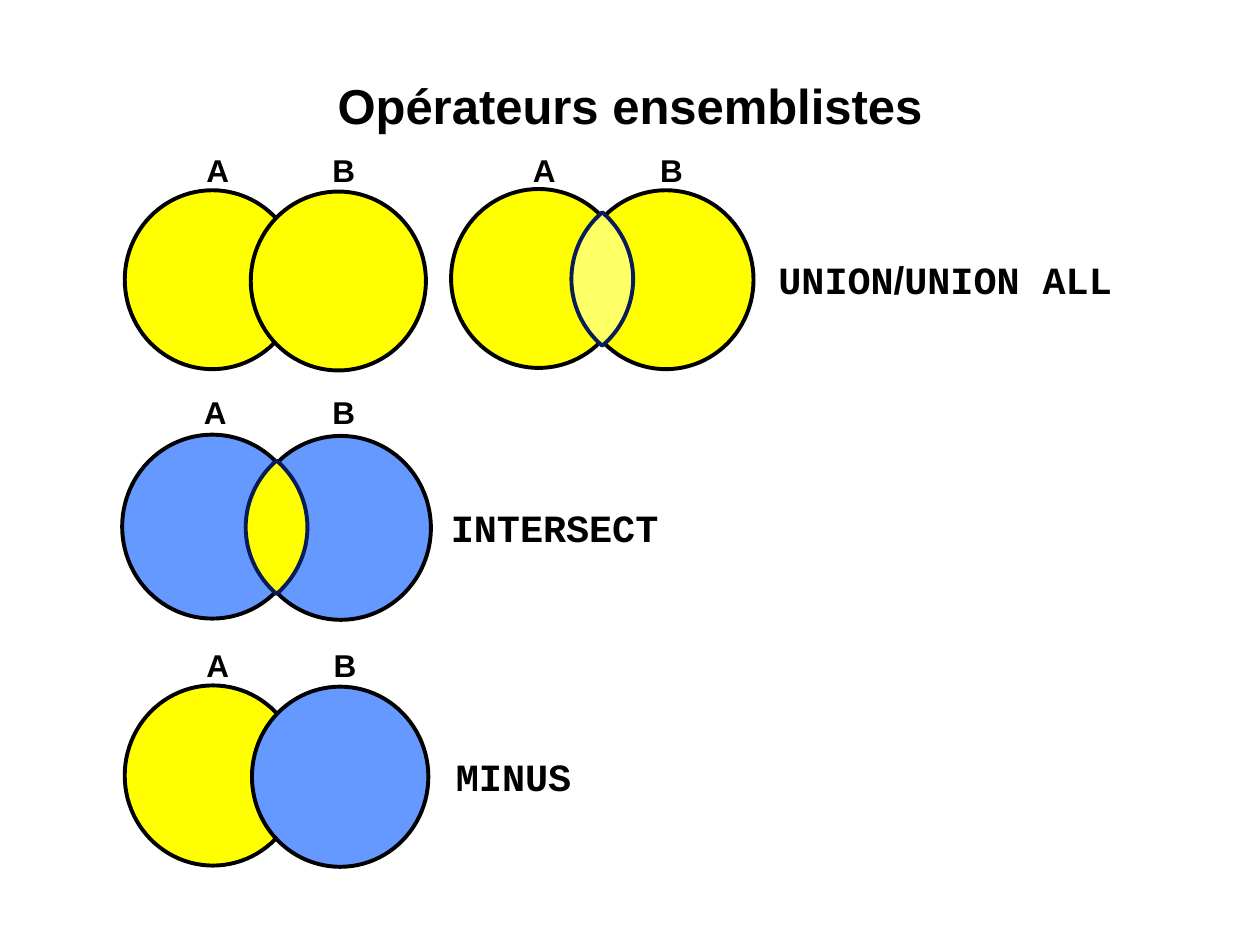
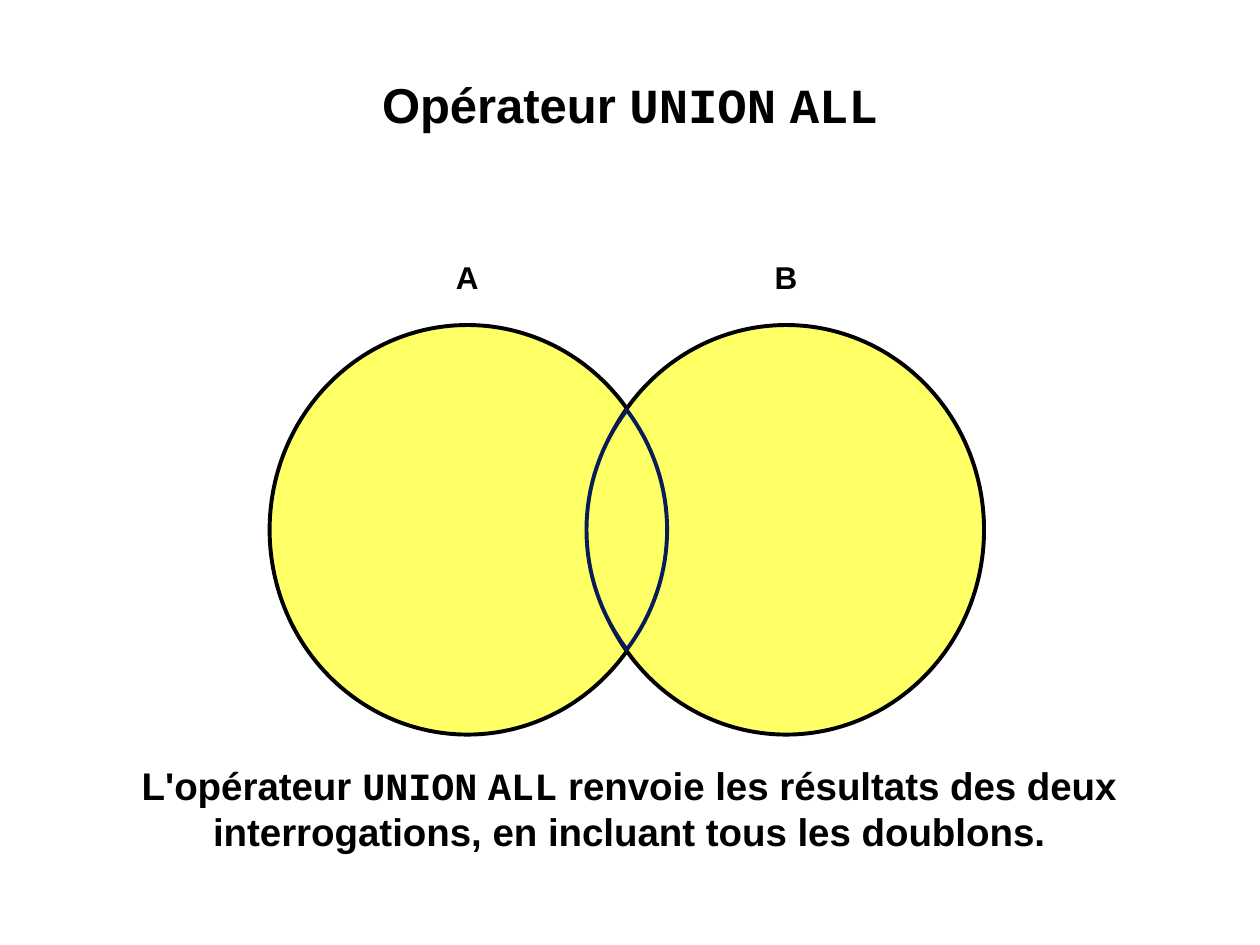
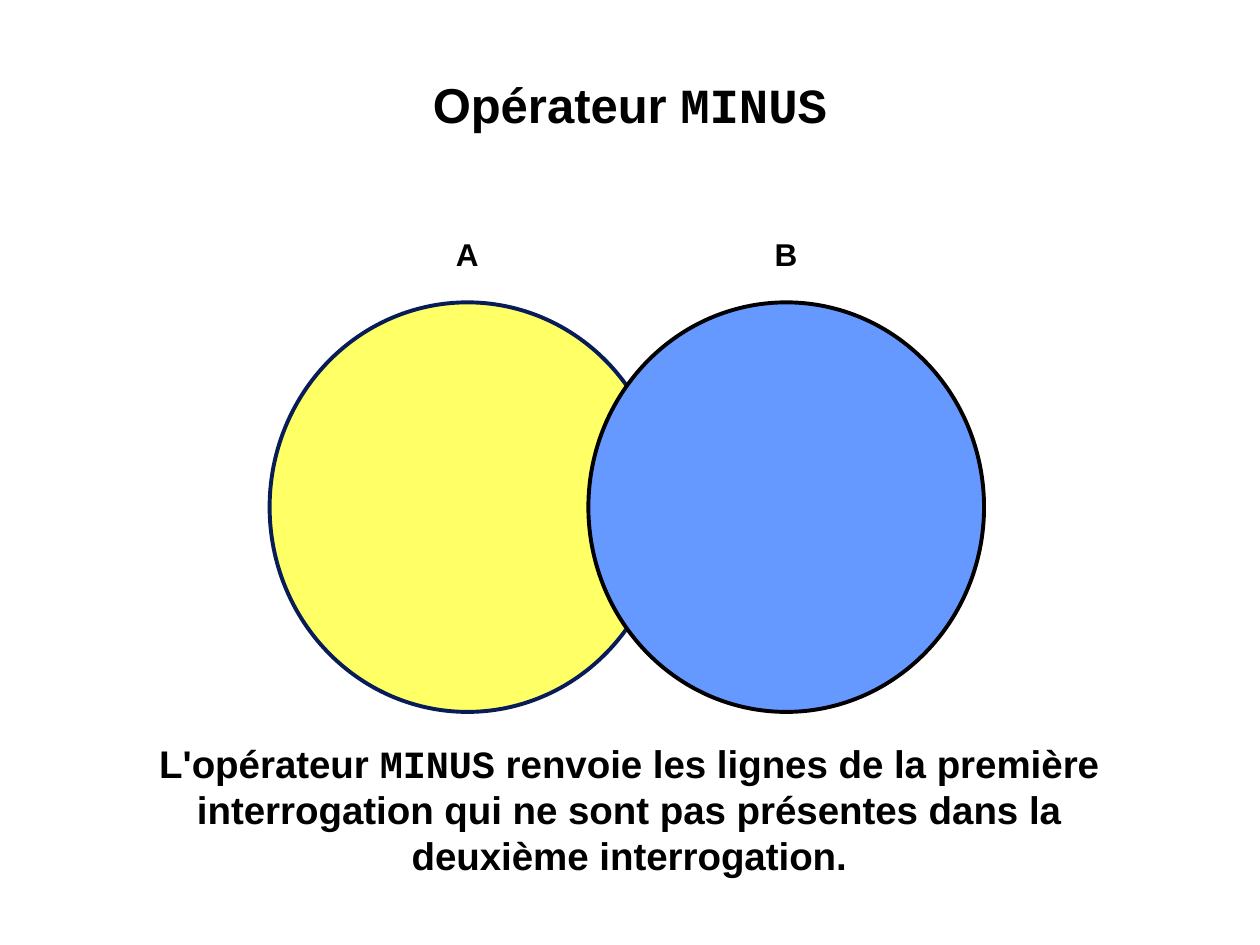
import math

import pptx
import pptx.dml.color
import pptx.enum.shapes
import pptx.enum.text
import pptx.util

# Shared look
COLOURS = {
    "text": "000000",
    "outline": "000000",
    "navy": "081D58",
    "yellow": "FFFF00",
    "pale": "FFFF66",
    "blue": "6699FF",
}
TEXT_FONT, CODE_FONT = "Arial", "Courier New"
TITLE_SIZE, BODY_SIZE, LABEL_SIZE = 28, 22, 18
OUTLINE_WIDTH = 2.25
ARC_STEPS = 32
ALIGN = pptx.enum.text.PP_ALIGN

# Grid: the slide has 100 columns and 75 rows
COLUMNS, ROWS = 100, 75
CELL = pptx.util.Inches(0.1)


def grid(*cells):
    """Turn columns or rows into slide lengths."""
    return [round(cell * CELL) for cell in cells]


def rgb(name):
    return pptx.dml.color.RGBColor.from_string(COLOURS[name])


def write(shape, text, size=BODY_SIZE, align=ALIGN.LEFT, wrap=True, margins=(1, 0.5)):
    """Write bold text; the parts between backticks are set in the code font."""
    frame = shape.text_frame
    frame.auto_size = pptx.enum.text.MSO_AUTO_SIZE.NONE
    frame.word_wrap = wrap
    frame.vertical_anchor = pptx.enum.text.MSO_ANCHOR.TOP
    frame.margin_left, frame.margin_top = grid(*margins)
    frame.margin_right, frame.margin_bottom = grid(*margins)
    paragraph = frame.paragraphs[0]
    paragraph.alignment = align
    for index, part in enumerate(text.split("`")):
        if part:
            run = paragraph.add_run()
            run.text = part
            run.font.name = CODE_FONT if index % 2 else TEXT_FONT
            run.font.size = pptx.util.Pt(size)
            run.font.bold = True
            run.font.color.rgb = rgb("text")


def add_text(slide, box, text, **form):
    write(slide.shapes.add_textbox(*grid(*box)), text, **form)


def add_titled_slide(deck, title, top=5.8, margins=(0.1, 0.1)):
    slide = deck.slides.add_slide(deck.slide_layouts[5])
    heading = slide.shapes.title
    heading.left, heading.top, heading.width, heading.height = grid(10, top, 80, 9.6)
    write(heading, title, size=TITLE_SIZE, align=ALIGN.CENTER, margins=margins)
    return slide


def paint(shape, fill, outline):
    shape.shadow.inherit = False
    shape.fill.solid()
    shape.fill.fore_color.rgb = rgb(fill)
    shape.line.color.rgb = rgb(outline)
    shape.line.width = pptx.util.Pt(OUTLINE_WIDTH)


def add_lens(shapes, centre, size, circle_height, fill):
    """Draw the overlap of two circles as two mirrored arcs."""
    half_width, half_height = size[0] / 2, size[1] / 2
    limit = math.asin(size[1] / circle_height)
    right_arc = []
    for step in range(ARC_STEPS + 1):
        angle = limit * (2 * step / ARC_STEPS - 1)
        bulge = (math.cos(angle) - math.cos(limit)) / (1 - math.cos(limit))
        right_arc.append((half_width * bulge,
                          half_height * math.sin(angle) / math.sin(limit)))
    left_arc = [(-x, y) for x, y in reversed(right_arc[1:-1])]
    points = [grid(centre[0] + x, centre[1] + y) for x, y in right_arc + left_arc]
    outline = shapes.build_freeform(*points[0])
    outline.add_line_segments(points[1:], close=True)
    paint(outline.convert_to_shape(), fill, "navy")


def add_venn(slide, corner, size, step, fills, label_offset, label_width,
             drop=0.0, lens=None, outlines=("outline", "outline")):
    """Draw sets A and B, their labels and, if given, their overlap."""
    left, top = corner
    width, height = size
    sets = slide.shapes.add_group_shape().shapes
    for index, (name, fill, outline) in enumerate(zip("AB", fills, outlines)):
        x, y = left + index * step, top + index * drop
        circle = sets.add_shape(pptx.enum.shapes.MSO_SHAPE.OVAL, *grid(x, y, width, height))
        paint(circle, fill, outline)
        add_text(slide, (x + label_offset[0], top + label_offset[1], label_width, 4),
                 name, size=LABEL_SIZE)
    if lens:
        lens_size, lens_fill = lens
        centre = left + (width + step) / 2, top + (height + drop) / 2
        add_lens(sets, centre, lens_size, height, lens_fill)


def add_overview(deck):
    slide = add_titled_slide(deck, "Opérateurs ensemblistes", top=5.5, margins=(1, 0.5))
    small_lens = (4.9, 10.6)
    # Corner, circle size, step, fills, label rise, overlap
    diagrams = [
        ((9.9, 15.1), (13.9, 14.2), 10, ("yellow", "yellow"), -3.6, None),
        ((35.8, 15), (13.9, 14.2), 10.1, ("yellow", "yellow"), -3.5, (small_lens, "pale")),
        ((9.7, 34.5), (14.3, 14.6), 10.2, ("blue", "blue"), -3.8, (small_lens, "yellow")),
        ((9.9, 54.4), (14, 14.3), 10.1, ("yellow", "blue"), -3.6, None),
    ]
    for corner, size, step, fills, rise, lens in diagrams:
        add_venn(slide, corner, size, step, fills, (5.5, rise), 4.5, drop=0.1, lens=lens)
    # Operator names
    operators = [
        ((60.8, 19.8, 37, 4.7), "`UNION`/`UNION ALL`"),
        ((34.8, 39.5, 18.5, 4.7), "`INTERSECT`"),
        ((35.2, 59.3, 11.2, 4.7), "`MINUS`"),
    ]
    for box, name in operators:
        add_text(slide, box, name, wrap=box[2] > 20)


def add_operator(deck, operator, top, caption, caption_box, fills, **venn):
    slide = add_titled_slide(deck, f"Opérateur {operator}")
    add_venn(slide, (21.4, top), (31.4, 32.5), 25.3, fills, (13.8, -5.8), 3.8, **venn)
    add_text(slide, caption_box, f"L'opérateur {operator} {caption}", align=ALIGN.CENTER)


def main():
    deck = pptx.Presentation()
    deck.slide_width, deck.slide_height = grid(COLUMNS, ROWS)
    add_overview(deck)
    add_operator(
        deck, "`UNION` `ALL`", 25.8,
        "renvoie les résultats des deux interrogations, en incluant tous les doublons.",
        (10.2, 60, 79.5, 8), ("pale", "pale"), lens=((6.4, 19), "pale"))
    add_operator(
        deck, "`MINUS`", 24,
        "renvoie les lignes de la première interrogation qui ne sont pas présentes "
        "dans la deuxième interrogation.",
        (10.4, 58.2, 79.1, 11.5), ("pale", "blue"), outlines=("navy", "outline"))
    deck.save("out.pptx")


if __name__ == "__main__":
    main()
